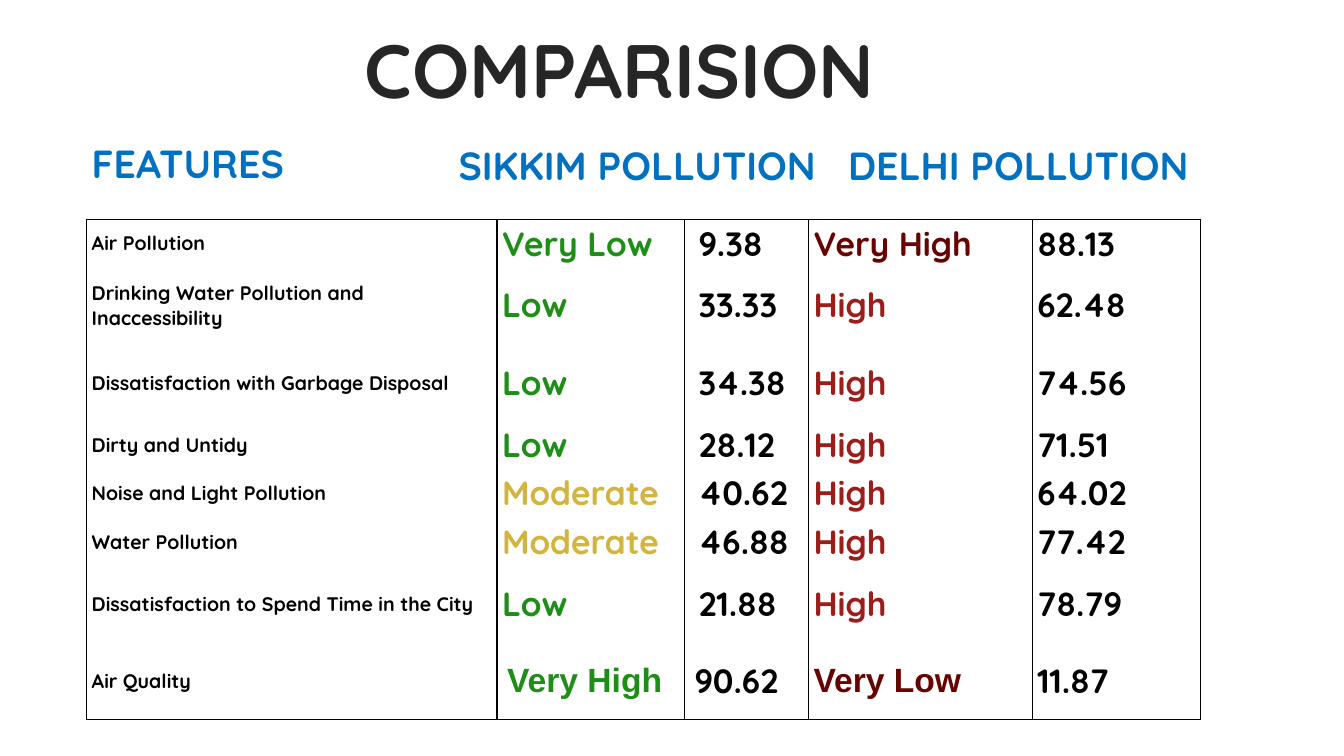
from dataclasses import dataclass

from lxml.etree import SubElement
from pptx import Presentation
from pptx.dml.color import RGBColor
from pptx.enum.text import MSO_ANCHOR, PP_ALIGN
from pptx.oxml.ns import qn
from pptx.util import Inches, Pt

COLORS = {
    "title": "262626",
    "heading": "0070C0",
    "ink": "000000",
    "good": "1E8E18",
    "fair": "D3B43F",
    "bad": "9B1E1B",
    "worst": "670300",
}
FONT = "Quicksand"
PLAIN_GRID = "{2D5ABB26-0587-4C30-8999-92F81FD0307C}"

prs = Presentation()
prs.slide_width, prs.slide_height = Inches(13.33), Inches(7.5)


def across(percent: float) -> int:
    return round(prs.slide_width * percent / 100)


def down(percent: float) -> int:
    return round(prs.slide_height * percent / 100)


@dataclass
class Heading:
    text: str
    left: float
    top: float
    width: float
    height: float
    size: int = 28
    color: str = "heading"
    spacing: float = 1.1
    align: PP_ALIGN = PP_ALIGN.LEFT
    anchor: MSO_ANCHOR = MSO_ANCHOR.MIDDLE


@dataclass
class Feature:
    name: str
    height: float
    sikkim: str
    sikkim_color: str
    sikkim_index: str
    delhi: str
    delhi_color: str
    delhi_index: str
    level_font: str = FONT
    level_inset: float = 0.05
    index_inset: float = 0.14


HEADINGS = [
    Heading("COMPARISION", 26.4, -0.27, 41.26, 20, 54, "title", 0.9),
    Heading("SIKKIM POLLUTION", 33.38, 16.8, 38.26, 9.33),
    Heading("DELHI POLLUTION", 56.64, 16.8, 38.26, 9.33, align=PP_ALIGN.CENTER),
    Heading("FEATURES", 6.08, 17.73, 17.33, 7.6, spacing=1.0, anchor=MSO_ANCHOR.TOP),
]

SHORT, MIDDLE, TALL = 6.13, 6.67, 10.27
FEATURES = [
    Feature("Air Pollution", SHORT, "Very Low", "good", "9.38", "Very High", "worst", "88.13"),
    Feature("Drinking Water Pollution and Inaccessibility", TALL,
            "Low", "good", "33.33", "High", "bad", "62.48"),
    Feature("Dissatisfaction with Garbage Disposal", TALL,
            "Low", "good", "34.38", "High", "bad", "74.56"),
    Feature("Dirty and Untidy", SHORT, "Low", "good", "28.12", "High", "bad", "71.51"),
    Feature("Noise and Light Pollution", MIDDLE,
            "Moderate", "fair", "40.62", "High", "bad", "64.02"),
    Feature("Water Pollution", SHORT, "Moderate", "fair", "46.88", "High", "bad", "77.42"),
    Feature("Dissatisfaction to Spend Time in the City", TALL,
            "Low", "good", "21.88", "High", "bad", "78.79"),
    Feature("Air Quality", TALL, "Very High", "good", "90.62", "Very Low", "worst", "11.87",
            "Arial", 0.1, 0.1),
]
COLUMNS = [30.53, 13.95, 9.23, 16.65, 12.53]
COLUMN_EDGES = ["LR", "L", "R", "L", "R"]


def add_run(p, text: str, size: int, color: str, font: str = FONT) -> None:
    r = p.add_run()
    r.text = text
    r.font.name, r.font.size, r.font.bold = font, Pt(size), True
    r.font.color.rgb = RGBColor.from_string(COLORS[color])


def add_heading(s, h: Heading) -> None:
    sp = s.shapes.add_textbox(across(h.left), down(h.top), across(h.width), down(h.height))
    tf = sp.text_frame
    tf.word_wrap = True
    tf.vertical_anchor = h.anchor
    p = tf.paragraphs[0]
    p.alignment, p.line_spacing = h.align, h.spacing
    add_run(p, h.text, h.size, h.color)


def add_borders(cell, edges: str) -> None:
    tcPr = cell._tc.get_or_add_tcPr()
    for edge in "LRTB":
        if edge in edges:
            ln = SubElement(tcPr, qn(f"a:ln{edge}"), w=str(Pt(1)))
            fill = SubElement(ln, qn("a:solidFill"))
            SubElement(fill, qn("a:srgbClr"), val=COLORS["ink"])


def fill_cell(cell, edges: str, text: str, size: int, color: str,
              font: str = FONT, inset: float = 0.05) -> None:
    add_borders(cell, edges)
    cell.fill.background()
    cell.vertical_anchor = MSO_ANCHOR.MIDDLE
    cell.margin_left, cell.margin_right = Inches(inset), Inches(0.02)
    cell.margin_top, cell.margin_bottom = Inches(0.02), Inches(0.01)
    add_run(cell.text_frame.paragraphs[0], text, size, color, font)


def add_features(s, features: list[Feature]) -> None:
    height = sum(f.height for f in features)
    table = s.shapes.add_table(len(features), len(COLUMNS), across(6.45), down(29.07),
                               across(sum(COLUMNS)), down(height)).table
    table.first_row = table.horz_banding = False
    table._tbl.tblPr.find(qn("a:tableStyleId")).text = PLAIN_GRID
    for column, width in zip(table.columns, COLUMNS):
        column.width = across(width)
    for i, f in enumerate(features):
        table.rows[i].height = down(f.height)
        outer = "T" if i == 0 else "B" if i == len(features) - 1 else ""
        contents = [
            (f.name, 14, "ink"),
            (f.sikkim, 24, f.sikkim_color, f.level_font, f.level_inset),
            (f.sikkim_index, 24, "ink", FONT, f.index_inset),
            (f.delhi, 24, f.delhi_color, f.level_font),
            (f.delhi_index, 24, "ink"),
        ]
        for j, content in enumerate(contents):
            fill_cell(table.cell(i, j), COLUMN_EDGES[j] + outer, *content)


def main() -> None:
    s = prs.slides.add_slide(prs.slide_layouts[6])
    for h in HEADINGS:
        add_heading(s, h)
    add_features(s, FEATURES)
    prs.save("out.pptx")


if __name__ == "__main__":
    main()
